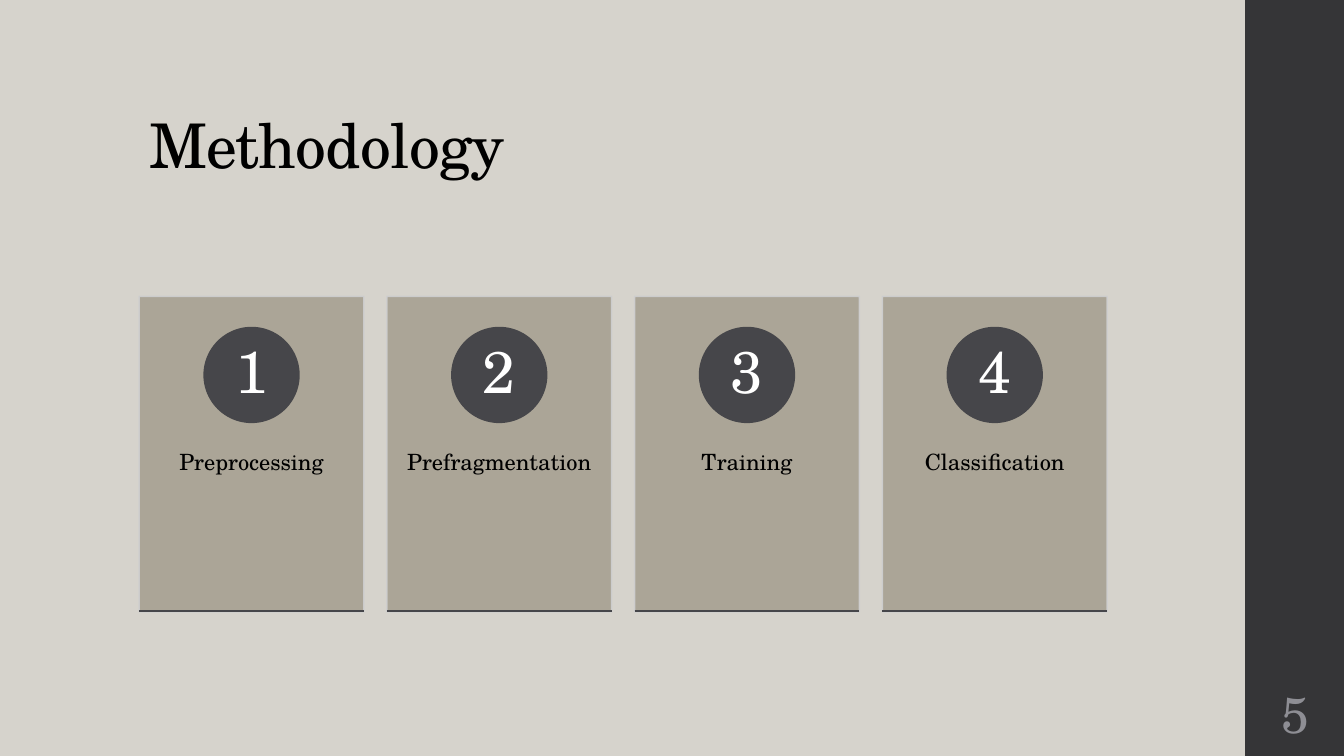
from pptx import Presentation
from pptx import util as u
from pptx.dml.color import RGBColor
from pptx.enum import shapes, text
from pptx.oxml.ns import qn
from lxml import etree

FONT = "TeX Gyre Schola"
DARK = "46464A"
STEPS = ["Preprocessing", "Prefragmentation", "Training", "Classification"]
LEFT, TOP, PITCH = 1.38, 2.94, 2.457
CARD_W, CARD_H, CIRCLE = 2.23, 3.13, 0.94


def rgb(value):
    return RGBColor.from_string(value)


def box(*lengths):
    return [u.Inches(n) for n in lengths]


def set_alpha(fill_format, percent):
    color = fill_format._xPr.find(qn("a:solidFill"))[0]
    etree.SubElement(color, qn("a:alpha")).set("val", str(percent * 1000))


def add_shape(s, kind, at, fill, line=None, alpha=None):
    sp = s.shapes.add_shape(kind, *box(*at))
    sp.shadow.inherit = False
    sp.fill.solid()
    sp.fill.fore_color.rgb = rgb(fill)
    if line:
        sp.line.color.rgb = rgb(line)
        sp.line.width = u.Pt(1.1)
    else:
        sp.line.fill.background()
    if alpha:
        set_alpha(sp.fill, alpha)
        set_alpha(sp.line.fill, alpha)
    return sp


def add_line(s, x1, y1, x2, y2, color):
    cx = s.shapes.add_connector(shapes.MSO_CONNECTOR.STRAIGHT, *box(x1, y1, x2, y2))
    cx.line.color.rgb = rgb(color)
    cx.line.width = u.Pt(1.5)
    etree.SubElement(cx._element.spPr, qn("a:effectLst"))


def write(sp, words, size, color, anchor, align=text.PP_ALIGN.CENTER,
          insets=(0.1, 0.05), spacing=0.9):
    tf = sp.text_frame
    tf.word_wrap = True
    tf.auto_size = text.MSO_AUTO_SIZE.NONE
    tf.vertical_anchor = anchor
    tf.margin_left = tf.margin_right = u.Inches(insets[0])
    tf.margin_top = tf.margin_bottom = u.Inches(insets[1])
    p = tf.paragraphs[0]
    p.alignment = align
    p.line_spacing = spacing
    r = p.add_run()
    r.text = words
    r.font.name = FONT
    r.font.size = u.Pt(size)
    r.font.color.rgb = rgb(color)
    return r


def add_title(s, words):
    sp = s.shapes.title
    sp.left, sp.top, sp.width, sp.height = box(1.38, 0.4, 10.6, 1.45)
    r = write(sp, words, 44, "000000", text.MSO_ANCHOR.BOTTOM, text.PP_ALIGN.LEFT)
    r._r.get_or_add_rPr().set("spc", "-50")


def add_text(s, at, words, size, color, anchor, **style):
    write(s.shapes.add_textbox(*box(*at)), words, size, color, anchor, **style)


def add_card(s, x, number, label):
    add_shape(s, shapes.MSO_SHAPE.RECTANGLE, (x, TOP, CARD_W, CARD_H),
              "A7A192", "CFCFD0", alpha=90)
    add_text(s, (x, 4.12, CARD_W, 1.88), label, 16, "000000",
             text.MSO_ANCHOR.TOP, insets=(0.17, 0.36))
    circle = add_shape(s, shapes.MSO_SHAPE.OVAL,
                       (x + (CARD_W - CIRCLE) / 2, 3.25, CIRCLE, CIRCLE), DARK, DARK)
    write(circle, str(number), 42, "FFFFFF", text.MSO_ANCHOR.MIDDLE, insets=(0.07, 0.01))
    add_line(s, x, 6.06, x + CARD_W, 6.06, DARK)


def main():
    prs = Presentation()
    prs.slide_width, prs.slide_height = box(13.33, 7.5)
    s = prs.slides.add_slide(prs.slide_layouts[5])
    s.background.fill.solid()
    s.background.fill.fore_color.rgb = rgb("D6D3CC")
    add_shape(s, shapes.MSO_SHAPE.RECTANGLE, (12.35, 0, 0.98, 7.5), "353537")
    add_title(s, "Methodology")
    for i, label in enumerate(STEPS):
        add_card(s, LEFT + i * PITCH, i + 1, label)
    add_text(s, (12.35, 6.75, 1, 0.65), "5", 36, "8E8E94",
             text.MSO_ANCHOR.MIDDLE, insets=(0.05, 0.05), spacing=1.0)
    prs.save("out.pptx")


if __name__ == "__main__":
    main()
